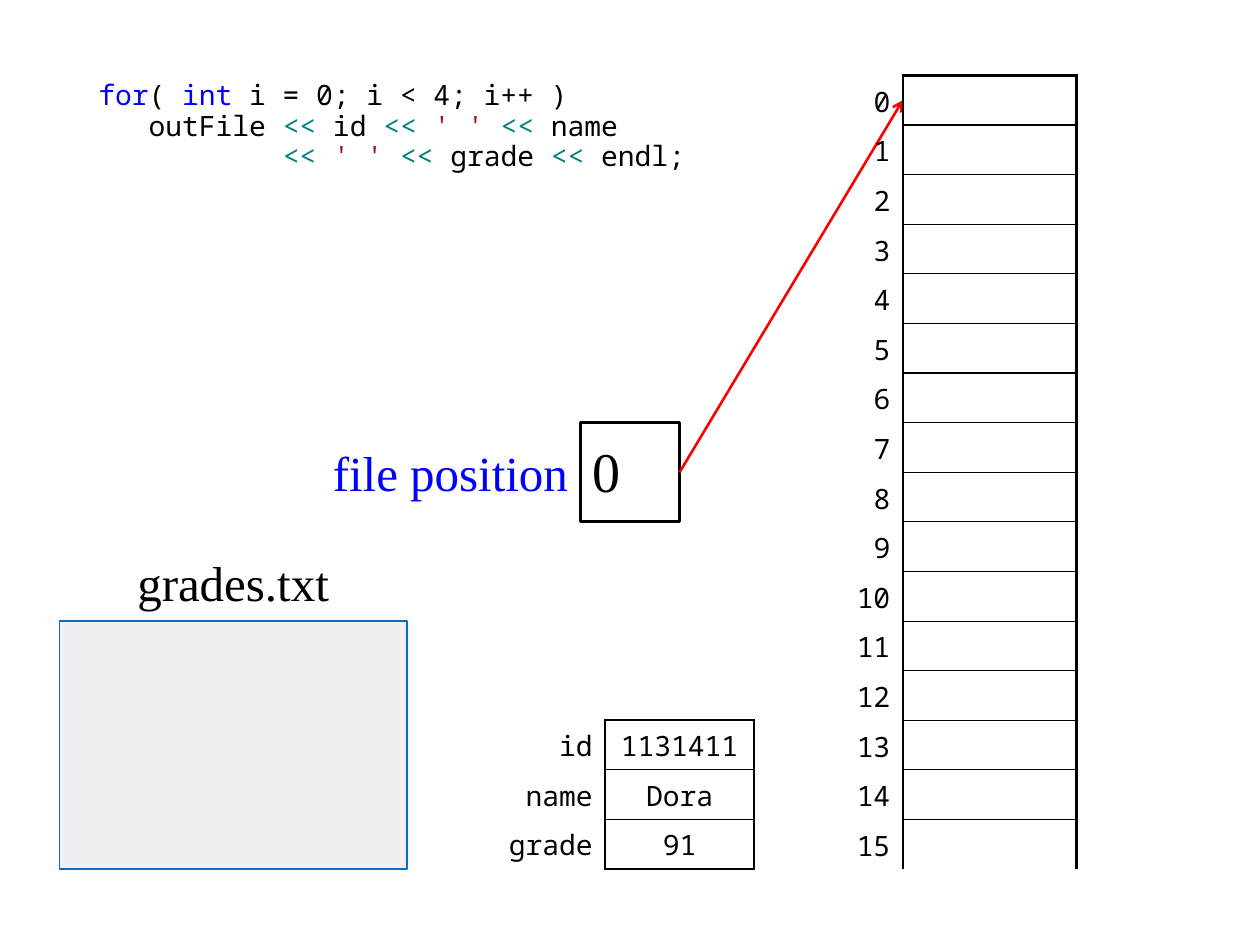
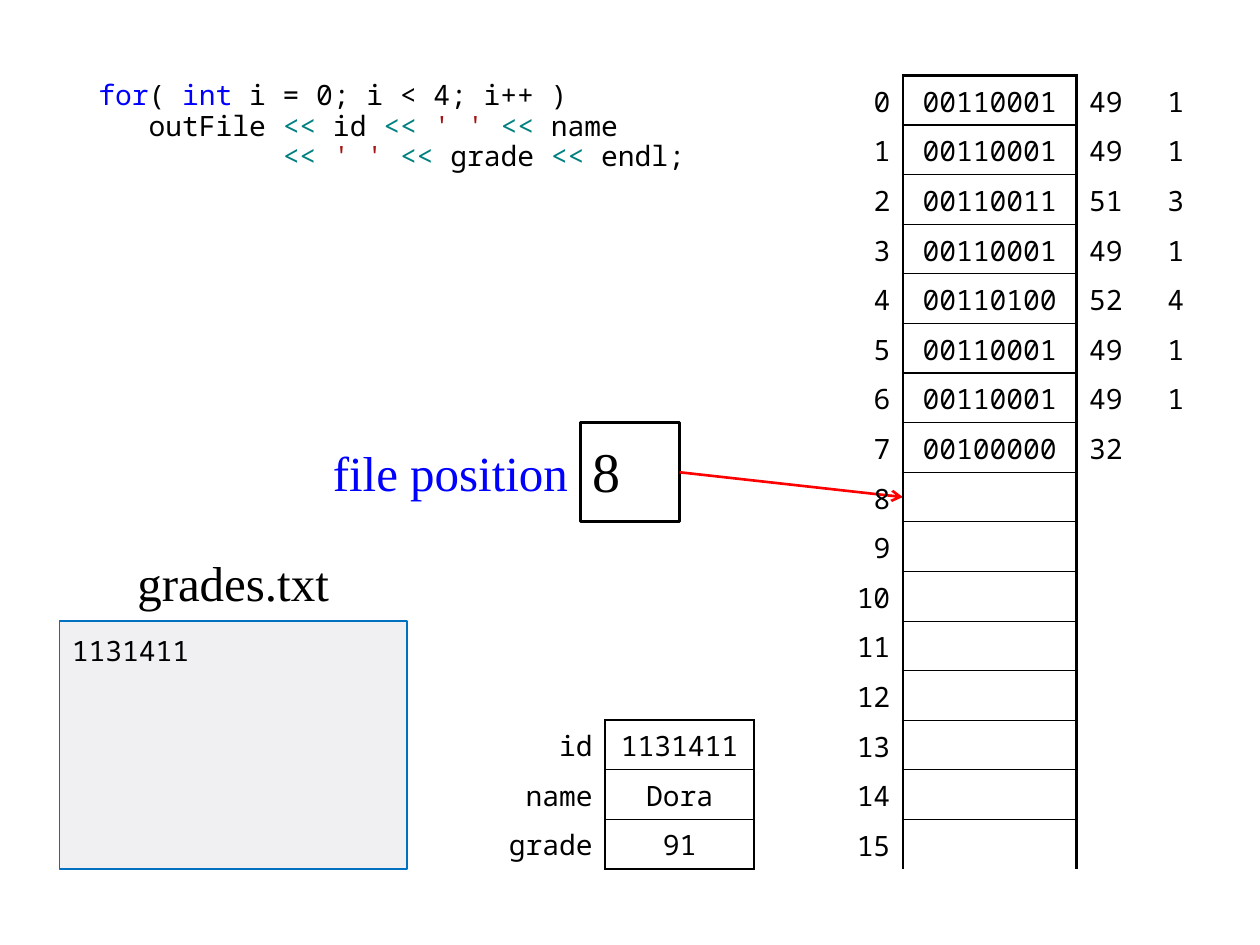
from lxml.etree import SubElement
from pptx import Presentation
from pptx.dml.color import RGBColor
from pptx.enum.shapes import MSO_CONNECTOR, MSO_SHAPE
from pptx.enum.text import MSO_ANCHOR, PP_ALIGN
from pptx.oxml.ns import qn
from pptx.util import Cm, Pt

BLACK = RGBColor(0x00, 0x00, 0x00)
BLUE = RGBColor(0x00, 0x00, 0xFF)
TEAL = RGBColor(0x00, 0x80, 0x80)
MAROON = RGBColor(0xA3, 0x15, 0x15)
RED = RGBColor(0xFF, 0x00, 0x00)
FILE_FILL = RGBColor(0xF0, 0xF0, 0xF2)
FILE_LINE = RGBColor(0x00, 0x70, 0xC0)

MONO = "Noto Sans Mono"
SERIF = "Times New Roman"
NO_STYLE = "{2D5ABB26-0587-4C30-8999-92F81FD0307C}"
THICK, THIN = 1.5, 0.75

TOP = 1.52
CELL = 1
MEMORY_LEFT = 16.7
MEMORY_WIDTHS = [1.5, 3.5, 1.5, 1]
MEMORY_ROWS = 16

CODE = [
    [("for", BLUE), ("( ", BLACK), ("int", BLUE), (" i = 0; i < 4; i++ )", BLACK)],
    [("   outFile ", BLACK), ("<<", TEAL), (" id ", BLACK), ("<< ", TEAL),
     ("' ' ", MAROON), ("<<", TEAL), (" name", BLACK)],
    [("           ", BLACK), ("<< ", TEAL), ("' ' ", MAROON), ("<<", TEAL),
     (" grade ", BLACK), ("<<", TEAL), (" endl;", BLACK)],
]
VARIABLES = [("id", "1131411"), ("name", "Dora"), ("grade", "91")]
STEPS = ["", "1131411 "]


def format_run(run, size, font_name, color):
    run.font.size = Pt(size)
    run.font.name = font_name
    run.font.color.rgb = color


def place(shape, left, top, width, height):
    shape.left, shape.top = Cm(left), Cm(top)
    shape.width, shape.height = Cm(width), Cm(height)


def write_text(text_frame, text, size, font_name, color=BLACK, align=PP_ALIGN.LEFT):
    text_frame.text = text
    paragraph = text_frame.paragraphs[0]
    paragraph.alignment = align
    for run in paragraph.runs:
        format_run(run, size, font_name, color)


def add_code(slide):
    body = slide.placeholders[1]
    place(body, 1.73, TOP, 12.47, 2.5)
    text_frame = body.text_frame
    for number, line in enumerate(CODE):
        paragraph = text_frame.add_paragraph() if number else text_frame.paragraphs[0]
        properties = paragraph._p.get_or_add_pPr()
        properties.set("marL", "0")
        properties.set("indent", "0")
        SubElement(properties, qn("a:buNone"))
        paragraph.space_before = Pt(0)
        paragraph.line_spacing = 0.9
        for text, color in line:
            run = paragraph.add_run()
            run.text = text
            format_run(run, 16, MONO, color)


def add_label(slide, bounds, text, color, align, anchor, wrap):
    label = slide.shapes.add_textbox(*map(Cm, bounds))
    label.text_frame.word_wrap = wrap
    label.text_frame.vertical_anchor = anchor
    write_text(label.text_frame, text, 28, SERIF, color, align)


def add_box(slide, bounds, line_color, line_width, fill=None):
    box = slide.shapes.add_shape(MSO_SHAPE.RECTANGLE, *map(Cm, bounds))
    box.shadow.inherit = False
    box.line.color.rgb = line_color
    box.line.width = Pt(line_width)
    if fill is None:
        box.fill.background()
    else:
        box.fill.solid()
        box.fill.fore_color.rgb = fill
    return box


def add_file(slide, content):
    box = add_box(slide, (1.2, 12.52, 7, 5), FILE_LINE, 1, FILE_FILL)
    text_frame = box.text_frame
    text_frame.vertical_anchor = MSO_ANCHOR.TOP
    text_frame.margin_top = Cm(0.25)
    if content:
        write_text(text_frame, content, 16, MONO)
    add_label(slide, (2.2, 11.02, 5, 1.5), "grades.txt", BLACK,
              PP_ALIGN.CENTER, MSO_ANCHOR.TOP, False)


def add_position(slide, position):
    add_label(slide, (6.2, 8.52, 5.5, 2), "file position", BLUE,
              PP_ALIGN.RIGHT, MSO_ANCHOR.MIDDLE, True)
    box = add_box(slide, (11.7, 8.52, 2, 2), BLACK, THICK)
    box.text_frame.margin_top = 0
    box.text_frame.margin_bottom = Cm(0.1)
    write_text(box.text_frame, str(position), 32, SERIF)
    return box


def add_arrow(slide, box, position):
    target_x = Cm(MEMORY_LEFT + MEMORY_WIDTHS[0])
    target_y = Cm(TOP + (position + 0.5) * CELL)
    arrow = slide.shapes.add_connector(MSO_CONNECTOR.STRAIGHT, 0, 0, target_x, target_y)
    arrow.begin_connect(box, 3)
    arrow.line.color.rgb = RED
    arrow.line.width = Pt(THICK)
    SubElement(arrow.line._get_or_add_ln(), qn("a:tailEnd"), type="arrow")
    SubElement(arrow._element.spPr, qn("a:effectLst"))


def set_borders(cell, borders):
    properties = cell._tc.get_or_add_tcPr()
    for side in "LRTB":
        width = borders.get(side)
        line = SubElement(properties, qn(f"a:ln{side}"), w=str(Pt(width or 0)))
        if width:
            fill = SubElement(line, qn("a:solidFill"))
            SubElement(fill, qn("a:srgbClr"), val=str(BLACK))
        else:
            SubElement(line, qn("a:noFill"))


def column_borders(row, column, row_count, closed):
    if column == 0:
        return {"R": THICK}
    if column == 2:
        return {"L": THICK}
    if column > 2:
        return {}
    last_border = THICK if closed else None
    return {"L": THICK, "R": THICK,
            "T": THIN if row else THICK,
            "B": THIN if row < row_count - 1 else last_border}


def add_grid(slide, left, top, widths, rows, aligns, closed, margins):
    frame = slide.shapes.add_table(len(rows), len(widths), Cm(left), Cm(top),
                                   Cm(sum(widths)), Cm(CELL * len(rows)))
    table = frame.table
    table.first_row = table.horz_banding = False
    table._tbl.tblPr.find(qn("a:tableStyleId")).text = NO_STYLE
    for column, width in zip(table.columns, widths):
        column.width = Cm(width)
    for row_number, values in enumerate(rows):
        table.rows[row_number].height = Cm(CELL)
        for column_number, value in enumerate(values):
            cell = table.cell(row_number, column_number)
            cell.vertical_anchor = MSO_ANCHOR.MIDDLE
            cell.margin_top, cell.margin_bottom = map(Cm, margins)
            set_borders(cell, column_borders(row_number, column_number, len(rows), closed))
            cell.fill.background()
            if value:
                write_text(cell.text_frame, value, 16, MONO, align=aligns[column_number])


def memory_rows(content):
    rows = []
    for address in range(MEMORY_ROWS):
        stored = content[address:address + 1]
        code = ord(stored) if stored else None
        rows.append((str(address), f"{code:08b}" if stored else "",
                     str(code) if stored else "", stored.strip()))
    return rows


def add_step(presentation, content):
    slide = presentation.slides.add_slide(presentation.slide_layouts[1])
    title = slide.shapes.title._element
    title.getparent().remove(title)
    position = len(content)
    add_code(slide)
    add_file(slide, content.strip())
    box = add_position(slide, position)
    add_arrow(slide, box, position)
    add_grid(slide, 9.7, 14.52, [2.5, 3], VARIABLES,
             [PP_ALIGN.RIGHT, PP_ALIGN.CENTER], True, (0.13, 0.13))
    add_grid(slide, MEMORY_LEFT, TOP, MEMORY_WIDTHS, memory_rows(content),
             [PP_ALIGN.RIGHT, PP_ALIGN.CENTER, PP_ALIGN.LEFT, PP_ALIGN.CENTER],
             False, (0.05, 0))


def main():
    presentation = Presentation()
    presentation.slide_width = Cm(25.4)
    presentation.slide_height = Cm(19.05)
    for content in STEPS:
        add_step(presentation, content)
    presentation.save("out.pptx")


if __name__ == "__main__":
    main()
